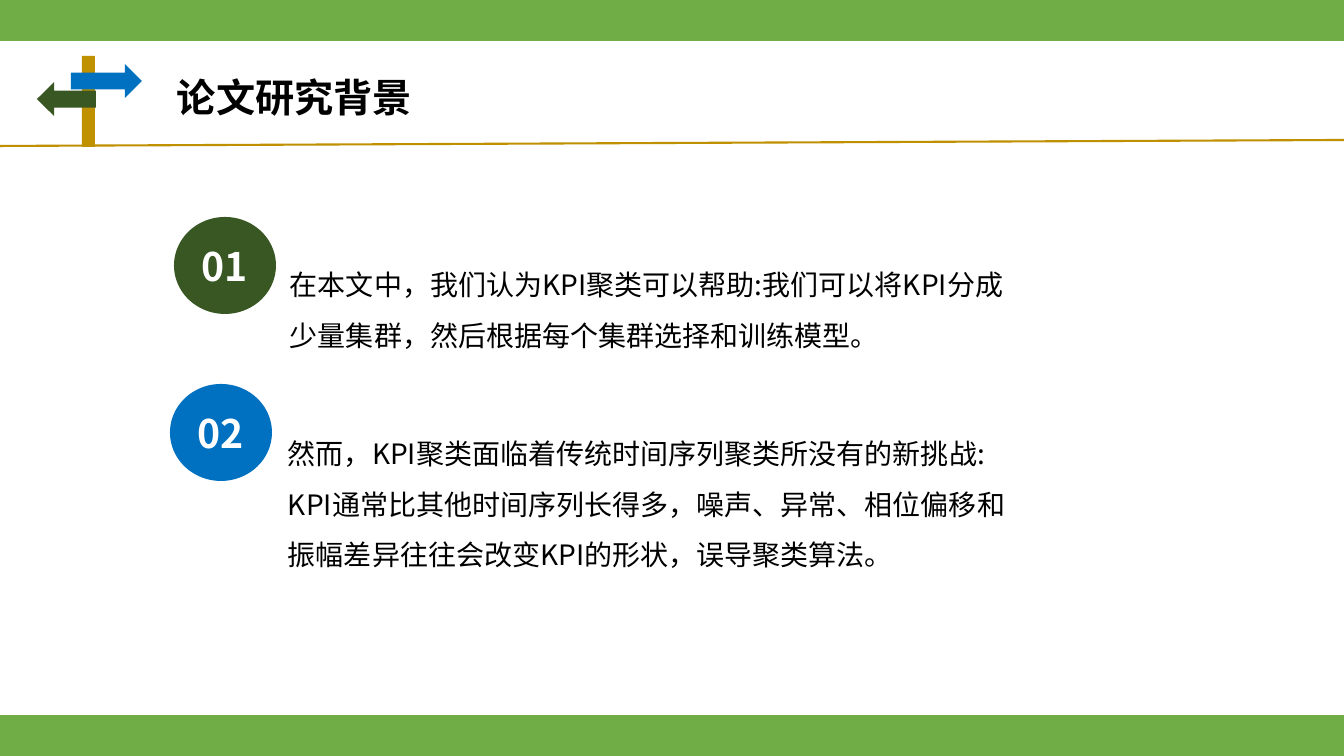
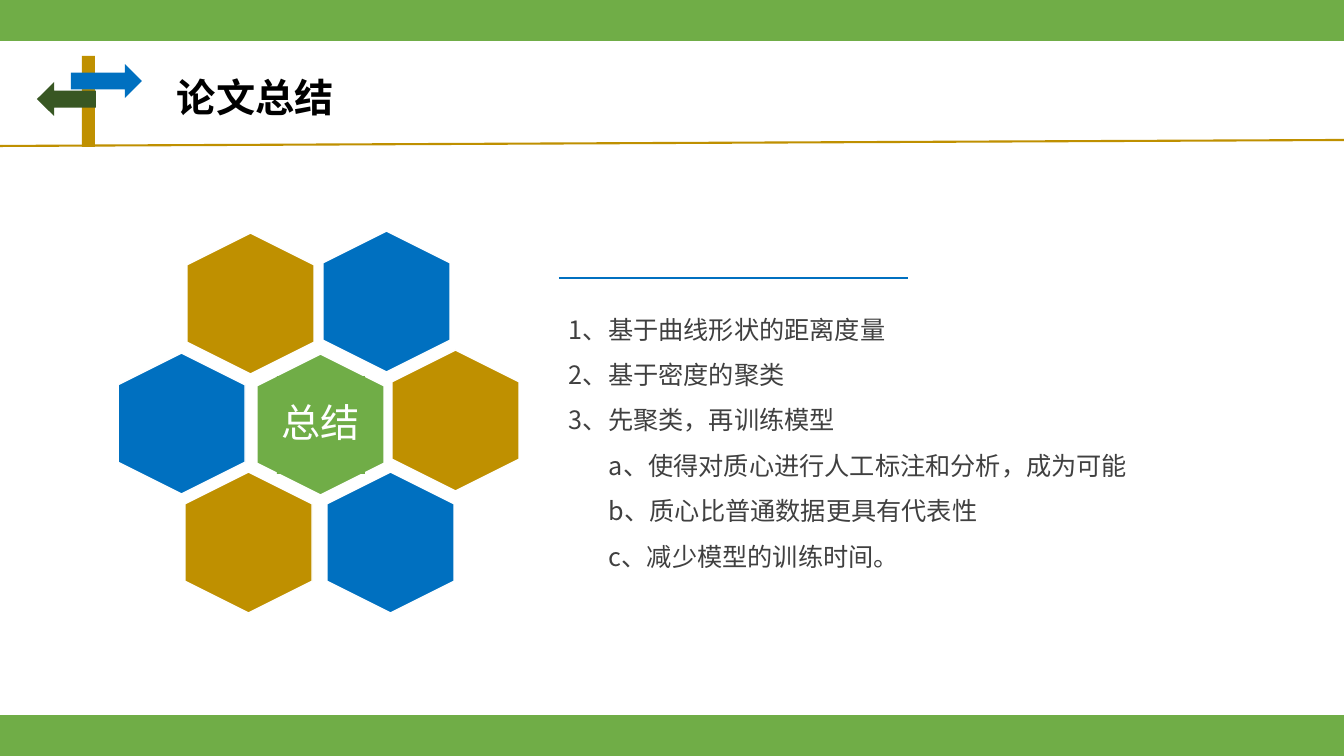
"""Build two thesis slides: research background and summary."""
from pptx import Presentation
from pptx.dml.color import RGBColor
from pptx.enum.shapes import MSO_CONNECTOR, MSO_SHAPE
from pptx.enum.text import MSO_ANCHOR, PP_ALIGN
from pptx.oxml.xmlchemy import OxmlElement
from pptx.util import Pt

SCALE = 12192000 / 1344
WIDTH, HEIGHT = 1344, 756
FONT = "Noto Sans CJK SC"
GREEN = RGBColor(0x70, 0xAD, 0x47)
DARK_GREEN = RGBColor(0x38, 0x57, 0x23)
BLUE = RGBColor(0x00, 0x70, 0xC0)
GOLD = RGBColor(0xBF, 0x90, 0x00)
WHITE = RGBColor(0xFF, 0xFF, 0xFF)
BLACK = RGBColor(0x00, 0x00, 0x00)
GREY = RGBColor(0x40, 0x40, 0x40)
RECTANGLE, OVAL = MSO_SHAPE.RECTANGLE, MSO_SHAPE.OVAL
ARROW, HEXAGON = MSO_SHAPE.RIGHT_ARROW, MSO_SHAPE.HEXAGON
STRAIGHT = MSO_CONNECTOR.STRAIGHT
CENTER, MIDDLE = PP_ALIGN.CENTER, MSO_ANCHOR.MIDDLE

TITLE = {"size": Pt(28), "bold": True, "color": BLACK}
NUMBER = {"size": Pt(28), "bold": True, "color": WHITE}
LABEL = {"size": Pt(28), "color": WHITE}
BODY = {"size": Pt(20), "color": BLACK}
POINT = {"size": Pt(18), "color": GREY}
CENTERED = {"alignment": CENTER}
SPACED = {"line_spacing": 1.5}


def draw(slide, kind, place, color, rotation=0):
    """Add a plain filled shape, or a connector for a straight line."""
    lengths = [round(value * SCALE) for value in place]
    if kind is STRAIGHT:
        shape = slide.shapes.add_connector(kind, *lengths)
        shape.line.color.rgb = color
        shape._element.spPr.append(OxmlElement("a:effectLst"))
        return shape
    shape = slide.shapes.add_shape(kind, *lengths)
    shape.shadow.inherit = False
    shape.fill.solid()
    shape.fill.fore_color.rgb = color
    shape.line.fill.background()
    shape.rotation = rotation
    return shape


def write(slide, target, lines, text_format, para_format, wrap=True):
    """Fill a shape, or a new text box at a place, with paragraphs."""
    if isinstance(target, tuple):
        target = slide.shapes.add_textbox(*[round(value * SCALE) for value in target])
    frame = target.text_frame
    frame.word_wrap = wrap
    for index, line in enumerate(lines):
        para = frame.paragraphs[0] if index == 0 else frame.add_paragraph()
        for name, value in para_format.items():
            setattr(para, name, value)
        span = para.add_run()
        span.text = line
        span.font.name = FONT
        east_asian = OxmlElement("a:ea")
        east_asian.set("typeface", FONT)
        for name, value in text_format.items():
            if name == "color":
                span.font.color.rgb = value
            else:
                setattr(span.font, name, value)
        span.font._element.find("{*}latin").addnext(east_asian)
    return frame


deck = Presentation()
deck.slide_width, deck.slide_height = round(WIDTH * SCALE), round(HEIGHT * SCALE)

pages = []
for title, title_width in (("论文研究背景", 255), ("论文总结", 177)):
    page = deck.slides.add_slide(deck.slide_layouts[6])
    for top in (0, 715):
        draw(page, RECTANGLE, (0, top, WIDTH, 41), GREEN)
    draw(page, STRAIGHT, (0, 146, WIDTH, 140), GOLD).line.width = Pt(1.5)
    draw(page, RECTANGLE, (82, 56, 13, 91), GOLD)
    draw(page, ARROW, (71, 64, 71, 34), BLUE)
    draw(page, ARROW, (37, 82, 59, 34), DARK_GREEN, 180)
    write(page, (167, 68, title_width, 57), [title], TITLE, {}, wrap=False)
    pages.append(page)
background, summary = pages

reasons = [
    ("01", (174, 217, 102, 97), DARK_GREEN, (280, 246, 987, 112),
     ["在本文中，我们认为KPI聚类可以帮助:我们可以将KPI分成",
      "少量集群，然后根据每个集群选择和训练模型。"]),
    ("02", (170, 384, 102, 97), BLUE, (278, 415, 989, 162),
     ["然而，KPI聚类面临着传统时间序列聚类所没有的新挑战:",
      "KPI通常比其他时间序列长得多，噪声、异常、相位偏移和",
      "振幅差异往往会改变KPI的形状，误导聚类算法。"]),
]
for number, circle_place, color, text_place, lines in reasons:
    circle = draw(background, OVAL, circle_place, color)
    write(background, circle, [number], NUMBER, CENTERED).vertical_anchor = MIDDLE
    write(background, text_place, lines, BODY, SPACED)

hexagons = [
    (180, 240, GOLD), (316, 238, BLUE), (250, 361, GREEN), (385, 357, GOLD),
    (320, 479, BLUE), (178, 479, GOLD), (111, 360, BLUE),
]
for left, top, color in hexagons:
    hexagon = draw(summary, HEXAGON, (left, top, 141, 127), color, 90)
    hexagon.adjustments[0] = 0.25
    hexagon.line.color.rgb = WHITE
    hexagon.line.width = Pt(1)

core = draw(summary, RECTANGLE, (277, 376, 88, 98), GREEN)
label = write(summary, core, ["总结"], LABEL, {"alignment": CENTER, "line_spacing": 0.9})
label.vertical_anchor = MIDDLE
for side in ("left", "right", "top", "bottom"):
    setattr(label, f"margin_{side}", 0)

draw(summary, STRAIGHT, (559, 278, 908, 278), BLUE).line.width = Pt(2)
points = [
    "1、基于曲线形状的距离度量",
    "2、基于密度的聚类",
    "3、先聚类，再训练模型",
    "a、使得对质心进行人工标注和分析，成为可能",
    "b、质心比普通数据更具有代表性",
    "c、减少模型的训练时间。",
]
frame = write(summary, (559, 294, 717, 285), points, POINT, SPACED)
for para in frame.paragraphs[3:]:
    para._p.get_or_add_pPr().set("marL", str(round(40 * SCALE)))

deck.save("out.pptx")
